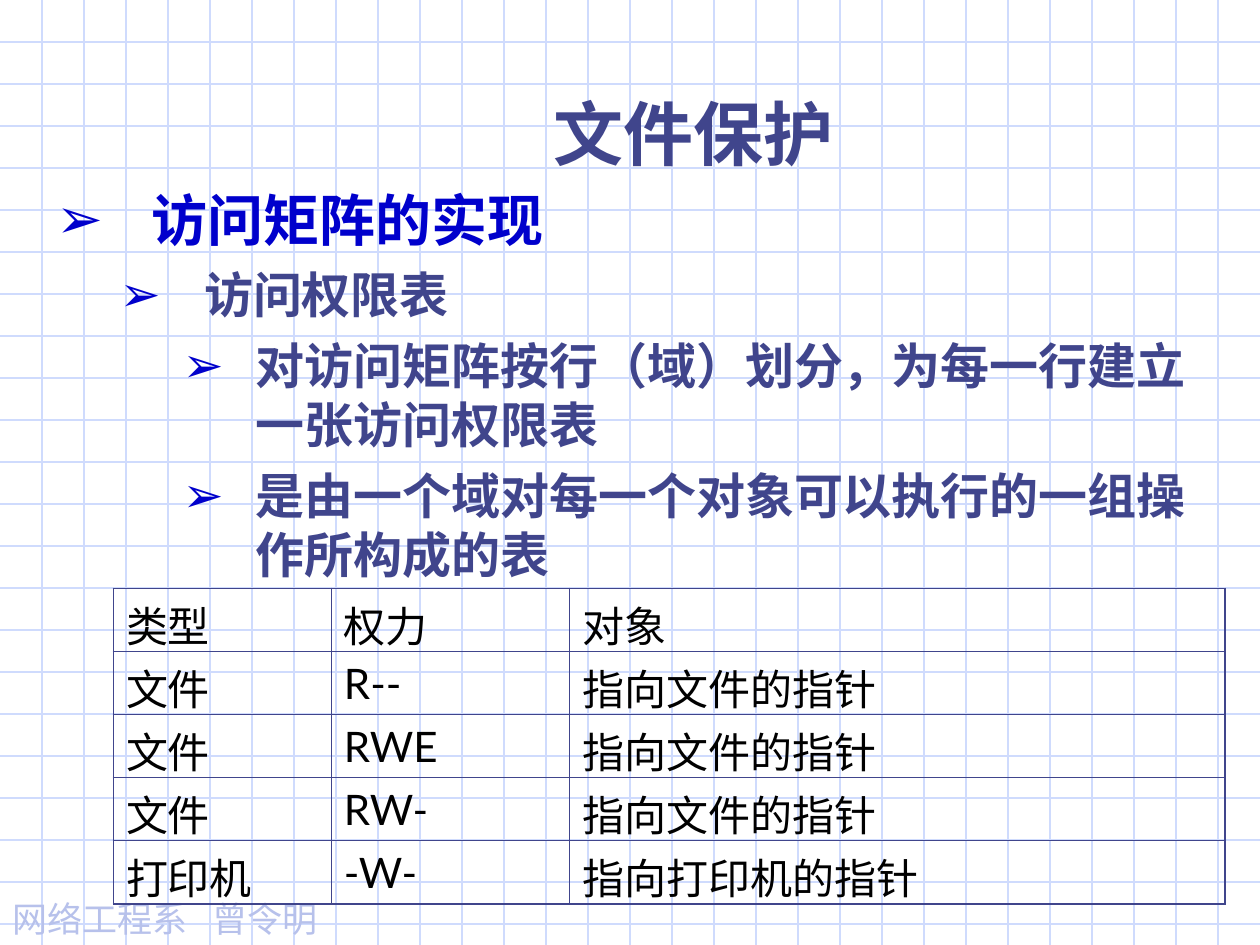
from lxml.etree import SubElement
from pptx import Presentation
from pptx.dml.color import RGBColor
from pptx.enum.shapes import MSO_CONNECTOR as Connector
from pptx.enum.text import MSO_ANCHOR as Anchor, MSO_AUTO_SIZE as AutoSize, PP_ALIGN as Align
from pptx.oxml.ns import qn
from pptx.util import Inches, Pt

NAVY, BLUE, BLACK = "40458C", "0000CC", "000000"
PALE_LINE, PALE_TEXT = "CFDBFD", "B7C1EB"
CJK = "Noto Sans CJK JP"


def color(value):
    return RGBColor.from_string(value)


def write(para, text, size=28, font="Lato", fill=NAVY, bold=False, align=Align.LEFT, before=0):
    """Put formatted text into a paragraph."""
    para.alignment = align
    para.space_before = Pt(before)
    span = para.add_run()
    span.text = text
    span.font.size, span.font.name, span.font.bold = Pt(size), font, bold
    span.font.color.rgb = color(fill)
    # East Asian text shares the line height of Lato
    SubElement(span.font._element, qn("a:ea"), typeface="Lato")


def place(shape, left, top, width, height):
    shape.left, shape.top = Inches(left), Inches(top)
    shape.width, shape.height = Inches(width), Inches(height)


def add_bullet(para, level, indent, hanging):
    para.level = level
    props = para._p.get_or_add_pPr()
    props.set("marL", str(Inches(indent)))
    props.set("indent", str(-Inches(hanging)))
    SubElement(SubElement(props, qn("a:buClr")), qn("a:srgbClr"), val=BLUE)
    SubElement(props, qn("a:buChar"), char="➢")


def add_tab(para, position):
    tabs = SubElement(para._p.get_or_add_pPr(), qn("a:tabLst"))
    SubElement(tabs, qn("a:tab"), pos=str(Inches(position)), algn="l")


def set_borders(cell, widths):
    """Draw the borders of a cell; widths are left, right, top, bottom in points."""
    props = cell._tc.get_or_add_tcPr()
    for index, (side, width) in enumerate(zip("LRTB", widths)):
        line = SubElement(props, qn(f"a:ln{side}"), w=str(Pt(width)))
        SubElement(SubElement(line, qn("a:solidFill")), qn("a:srgbClr"), val=NAVY)
        props.insert(index, line)


class SlideBuilder:
    def __init__(self, deck):
        self.page = deck.slides.add_slide(deck.slide_layouts[1])
        self.shapes = self.page.shapes
        self.width, self.height = deck.slide_width, deck.slide_height

    def line(self, x1, y1, x2, y2):
        rule = self.shapes.add_connector(Connector.STRAIGHT, x1, y1, x2, y2)
        rule.line.color.rgb = color(PALE_LINE)
        rule.line.width = Pt(0.75)
        SubElement(rule._element.spPr, qn("a:effectLst"))

    def grid(self, per_inch=3):
        step = Inches(1) // per_inch
        for y in range(step, self.height, step):
            self.line(0, y, self.width, y)
        for x in range(step, self.width, step):
            self.line(x, 0, x, self.height)

    def footer(self, text, tab, *bounds):
        box = self.shapes.add_textbox(0, 0, 0, 0)
        place(box, *bounds)
        box.text_frame.word_wrap = True
        para = box.text_frame.paragraphs[0]
        add_tab(para, tab)
        write(para, text, size=20, font=CJK, fill=PALE_TEXT)

    def placeholder(self, box, *bounds):
        """Move a placeholder to its bounds and in front of what is drawn so far."""
        place(box, *bounds)
        self.shapes._spTree.append(box._element)
        frame = box.text_frame
        frame.auto_size = AutoSize.NONE
        frame.vertical_anchor = Anchor.TOP
        return frame

    def body(self, items, *bounds):
        frame = self.placeholder(self.page.placeholders[1], *bounds)
        indents = [(0.75, 0.75), (1.17, 0.67), (1.58, 0.58)]
        for index, (level, text, style) in enumerate(items):
            para = frame.add_paragraph() if index else frame.paragraphs[0]
            add_bullet(para, level, *indents[level])
            write(para, text, bold=True, before=7 if index else 0, **style)

    def title(self, text, *bounds):
        frame = self.placeholder(self.shapes.title, *bounds)
        write(frame.paragraphs[0], text, size=40, font=CJK, bold=True, align=Align.CENTER)

    def table(self, rows, widths, row_height, left, top):
        count, columns = len(rows), len(widths)
        frame = self.shapes.add_table(count, columns, Inches(left), Inches(top),
                                      Inches(sum(widths)), Inches(row_height * count))
        grid = frame.table
        grid.first_row = grid.horz_banding = False
        for column, width in zip(grid.columns, widths):
            column.width = Inches(width)
        for r, row in enumerate(rows):
            for c, text in enumerate(row):
                cell = grid.cell(r, c)
                cell.fill.background()
                # Chinese text sits a little lower than Latin text
                cell.margin_top = Inches(0.05 if text.isascii() else 0.1)
                cell.margin_bottom = 0
                write(cell.text_frame.paragraphs[0], text, size=24, fill=BLACK)
                edges = (c == 0, c == columns - 1, r == 0, r == count - 1)
                set_borders(cell, [1.08 if outer else 0.45 for outer in edges])


def main():
    deck = Presentation()
    deck.slide_width, deck.slide_height = Inches(10), Inches(7.5)
    slide = SlideBuilder(deck)

    # Background grid and footer
    slide.grid()
    slide.footer("网络工程系\t曾令明", 1.59, 0, 7.07, 2.67, 0.44)

    # List and title
    slide.body([
        (0, "访问矩阵的实现", dict(size=32, font="Times New Roman", fill=BLUE)),
        (1, "访问权限表", {}),
        (2, "对访问矩阵按行（域）划分，为每一行建立一张访问权限表", {}),
        (2, "是由一个域对每一个对象可以执行的一组操作所构成的表", {}),
    ], 0.35, 1.42, 9.45, 3.2)
    slide.title("文件保护", 1.42, 0.67, 8.17, 0.77)

    # Access rights table
    slide.table([
        ("类型", "权力", "对象"),
        ("文件", "R--", "指向文件的指针"),
        ("文件", "RWE", "指向文件的指针"),
        ("文件", "RW-", "指向文件的指针"),
        ("打印机", "-W-", "指向打印机的指针"),
    ], [1.73, 1.89, 5.2], 0.5, 0.9, 4.67)

    deck.save("out.pptx")


if __name__ == "__main__":
    main()
